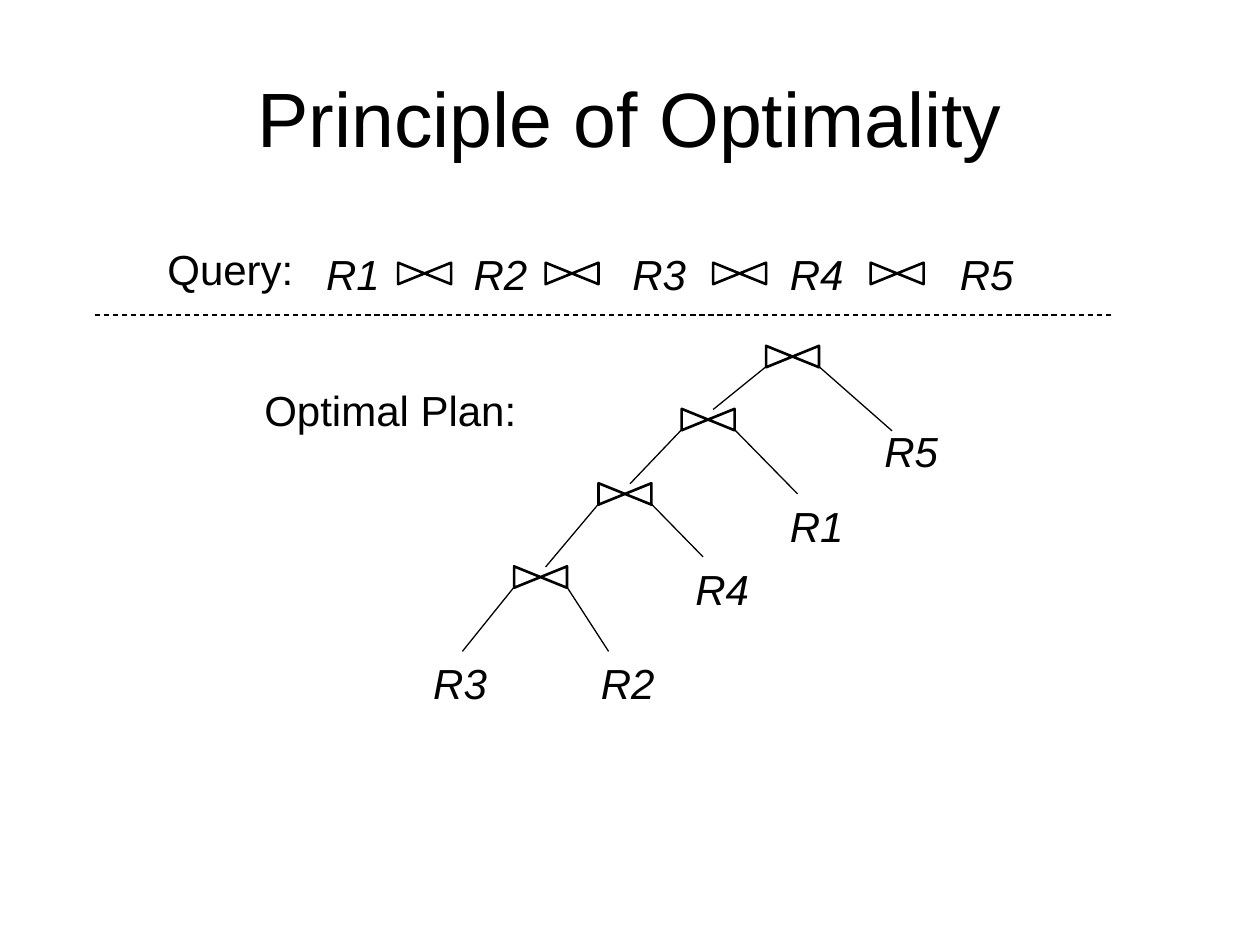
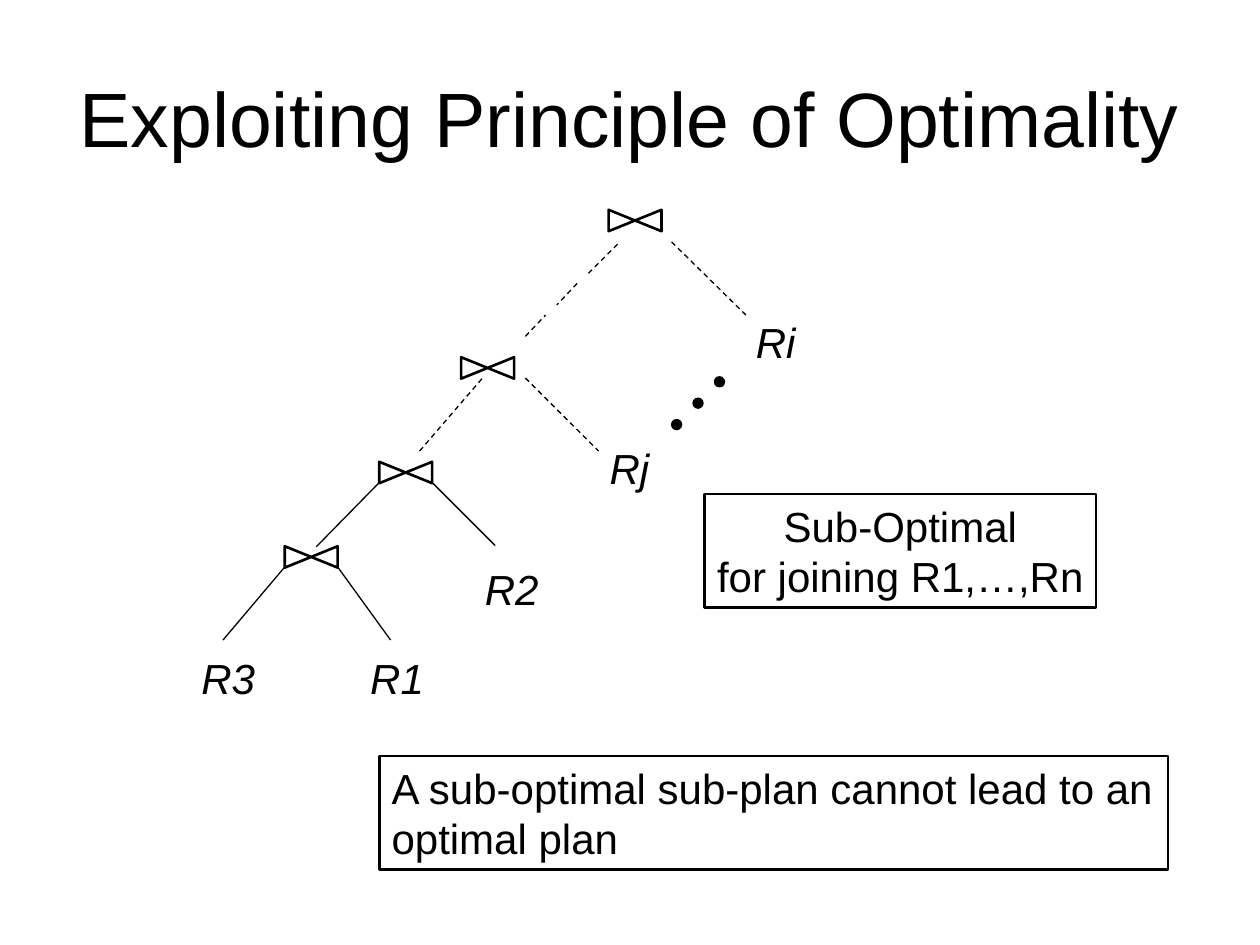
from lxml import etree
from pptx import Presentation
from pptx.dml.color import RGBColor
from pptx.enum.dml import MSO_LINE
from pptx.enum.shapes import MSO_CONNECTOR, MSO_SHAPE as SHAPE
from pptx.enum.text import MSO_ANCHOR as ANCHOR, MSO_AUTO_SIZE as AUTO, PP_ALIGN as ALIGN
from pptx.oxml.ns import qn
from pptx.util import Inches, Pt

# Shared style
FONT, INK, PAPER = "Arial", "000000", "FFFFFF"
TITLE_SIZE, BODY_SIZE = 44, 24
TITLE_BOX = (0.5, 0.3, 9, 1.25)
JOIN_W, JOIN_H = 0.17, 0.42            # before the quarter turn
CORNER_X, CORNER_Y = 0.21, 0.08        # centre of a join to its corner
LABEL_H = 0.5

# Slide 1: query and plan
QUERY = ["R1", "R2", "R3", "R4", "R5"]
QUERY_TABS = [1.17, 2.43, 3.68, 5.03]
QUERY_JOINS = [3.37, 4.54, 5.87, 7.12]
QUERY_Y = 2.17

# Trees, bottom join first: centre, end of the right branch, leaf, leaf position
PLAN_FIRST = ((3.67, 5.17), "R3", (3.34, 5.17))
PLAN = [
    ((4.29, 4.58), (4.83, 5.17), "R2", (4.67, 5.17)),
    ((4.96, 3.92), (5.58, 4.42), "R4", (5.42, 4.42)),
    ((5.62, 3.33), (6.33, 3.92), "R1", (6.17, 3.92)),
    ((6.29, 2.83), (7.08, 3.42), "R5", (6.92, 3.33)),
]

# Slide 2: sub-plan, open upper part and notes
SUB_FIRST = ((1.77, 5.08), "R3", (1.5, 5.13))
SUB_PLAN = [
    ((2.47, 4.42), (3.1, 5.08), "R1", (2.84, 5.13)),
    ((3.22, 3.75), (3.93, 4.33), "R2", (3.75, 4.42)),
]
OPEN_JOINS = [(3.87, 2.92), (5.04, 1.75)]
OPEN_LEAVES = [("Rj", (4.74, 3.46)), ("Ri", (5.9, 2.46))]
OPEN_BRANCHES = [
    ((3.33, 3.58), (3.83, 3)), ((4.17, 3), (4.75, 3.58)),
    ((5.33, 1.92), (5.92, 2.5)), ((4.17, 2.67), (4.33, 2.5)),
    ((4.58, 2.25), (4.42, 2.42)), ((4.67, 2.17), (4.92, 1.92)),
]
DOT_START, DOT_STEP, DOT_SIZE, DOT_COUNT = (5.33, 3.33), 0.17, 0.08, 3
NOTES = [
    ((5.59, 3.92, 3.11, 0.9), [["Sub-Optimal", "for joining R1,…,Rn"]], ALIGN.CENTER),
    ((3.01, 6, 6.26, 0.9),
     [["A sub-optimal sub-plan cannot lead to an"], ["optimal plan"]], ALIGN.LEFT),
]


def color(value):
    return RGBColor.from_string(value)


def inches(values):
    return [Inches(v) for v in values]


def write(tf, paragraphs, size=BODY_SIZE, align=ALIGN.LEFT, italic=False,
          anchor=ANCHOR.TOP, wrap=False):
    """Fill a frame; each paragraph is a list of lines."""
    tf.word_wrap, tf.vertical_anchor = wrap, anchor
    tf.auto_size = AUTO.NONE if wrap else AUTO.SHAPE_TO_FIT_TEXT
    for i, lines in enumerate(paragraphs):
        p = tf.add_paragraph() if i else tf.paragraphs[0]
        p.alignment = align
        for j, line in enumerate(lines):
            if j:
                p.add_line_break()
            r = p.add_run()
            r.text = line
            r.font.name, r.font.size, r.font.italic = FONT, Pt(size), italic
            r.font.color.rgb = color(INK)


def add_text(s, box, text, **style):
    tf = s.shapes.add_textbox(*inches(box)).text_frame
    write(tf, [[text]], **style)
    return tf


def add_leaf(s, name, at):
    width = 0.53 if name in ("Ri", "Rj") else 0.64
    add_text(s, (*at, width, LABEL_H), name, italic=True)


def add_shape(s, kind, box, fill=None, width=1.5):
    sp = s.shapes.add_shape(kind, *inches(box))
    sp.shadow.inherit = False
    if fill:
        sp.fill.solid()
        sp.fill.fore_color.rgb = color(fill)
    else:
        sp.fill.background()
    sp.line.color.rgb, sp.line.width = color(INK), Pt(width)
    return sp


def add_join(s, x, y):
    box = (x - JOIN_W / 2, y - JOIN_H / 2, JOIN_W, JOIN_H)
    add_shape(s, SHAPE.FLOWCHART_COLLATE, box, PAPER).rotation = 270


def add_line(s, start, end, dashed=False):
    ln = s.shapes.add_connector(MSO_CONNECTOR.STRAIGHT, *inches((*start, *end)))
    ln.line.color.rgb, ln.line.width = color(INK), Pt(0.75)
    if dashed:
        ln.line.dash_style = MSO_LINE.DASH
    etree.SubElement(ln._element.spPr, qn("a:effectLst"))


def add_tree(s, first, joins):
    """Left-deep tree: each join's left branch runs to the join below."""
    left_end, name, at = first
    add_leaf(s, name, at)
    for (x, y), right_end, name, at in joins:
        add_join(s, x, y)
        add_line(s, (x - CORNER_X, y + CORNER_Y), left_end)
        add_line(s, (x + CORNER_X, y + CORNER_Y), right_end)
        add_leaf(s, name, at)
        left_end = (x + 0.04, y - CORNER_Y)


def add_slide(prs, title):
    s = prs.slides.add_slide(prs.slide_layouts[6])
    s.background.fill.solid()
    s.background.fill.fore_color.rgb = color(PAPER)
    add_text(s, TITLE_BOX, title, size=TITLE_SIZE, align=ALIGN.CENTER,
             anchor=ANCHOR.MIDDLE, wrap=True)
    return s


def build_principle(prs):
    s = add_slide(prs, "Principle of Optimality")
    # Query row with tab stops between the relations
    add_text(s, (1.23, 1.88, 1.29, LABEL_H), "Query:")
    tf = add_text(s, (2.49, 1.92, 5.86, LABEL_H), "\t".join(QUERY), italic=True, wrap=True)
    tabs = etree.SubElement(tf.paragraphs[0]._p.get_or_add_pPr(), qn("a:tabLst"))
    for pos in QUERY_TABS:
        etree.SubElement(tabs, qn("a:tab"), pos=str(Inches(pos)), algn="l")
    for x in QUERY_JOINS:
        add_join(s, x, QUERY_Y)
    add_line(s, (0.75, 2.5), (8.83, 2.5), dashed=True)
    # Plan
    add_text(s, (2, 3, 2.2, LABEL_H), "Optimal Plan:")
    add_tree(s, PLAN_FIRST, PLAN)


def build_exploiting(prs):
    s = add_slide(prs, "Exploiting Principle of Optimality")
    add_tree(s, SUB_FIRST, SUB_PLAN)
    # Open upper part
    for start, end in OPEN_BRANCHES:
        add_line(s, start, end, dashed=True)
    for x, y in OPEN_JOINS:
        add_join(s, x, y)
    for name, at in OPEN_LEAVES:
        add_leaf(s, name, at)
    x, y = DOT_START
    for i in range(DOT_COUNT):
        box = (x + i * DOT_STEP, y - i * DOT_STEP, DOT_SIZE, DOT_SIZE)
        add_shape(s, SHAPE.OVAL, box, INK, 0.75)
    # Notes
    for box, paragraphs, align in NOTES:
        write(add_shape(s, SHAPE.RECTANGLE, box).text_frame, paragraphs, align=align)


def main():
    prs = Presentation()
    prs.slide_width, prs.slide_height = Inches(10), Inches(7.5)
    build_principle(prs)
    build_exploiting(prs)
    prs.save("out.pptx")


if __name__ == "__main__":
    main()
